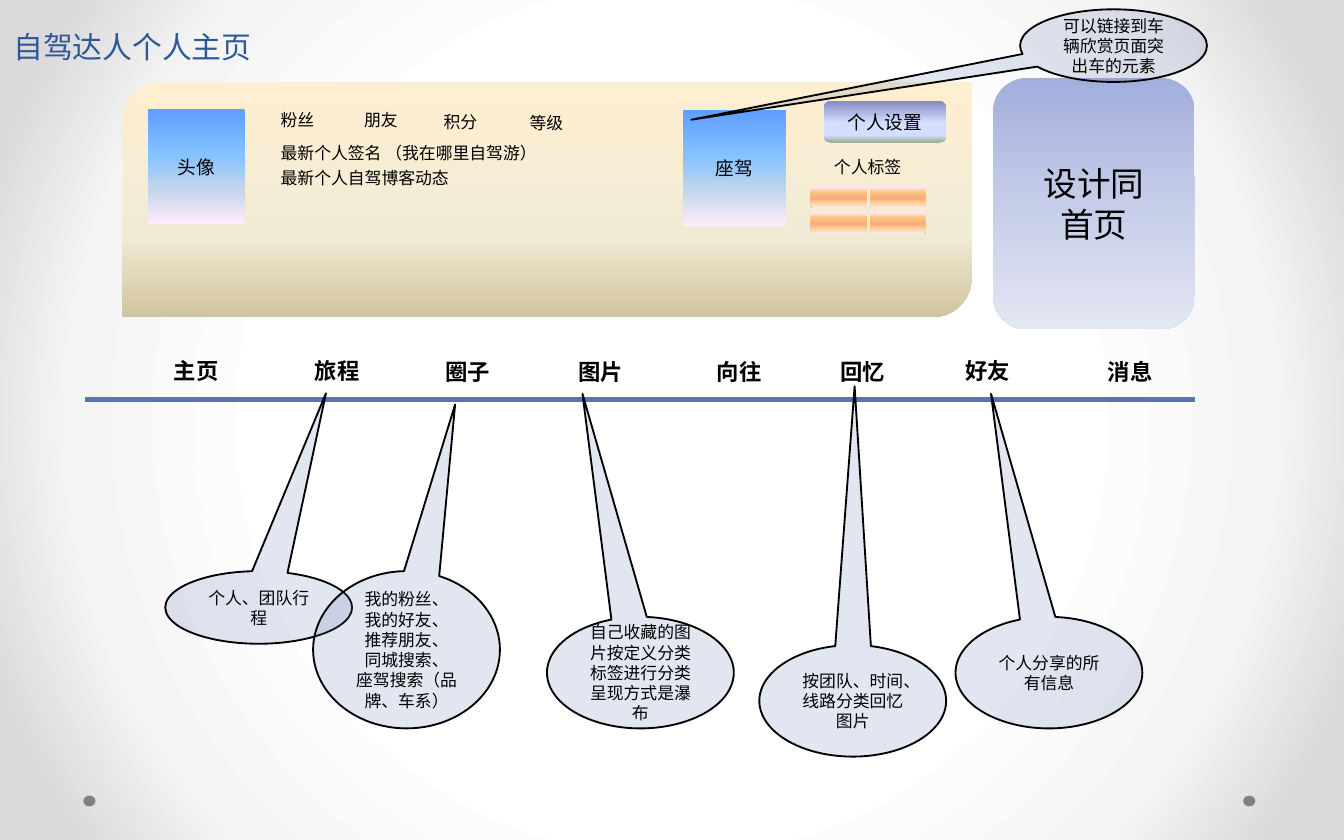
from itertools import product
from lxml.etree import SubElement
from pptx import Presentation
from pptx.dml.color import RGBColor
from pptx.enum.shapes import MSO_CONNECTOR, MSO_SHAPE
from pptx.enum.text import MSO_ANCHOR, PP_ALIGN
from pptx.oxml.ns import qn
from pptx.util import Inches, Pt

THEME = {
    "font": "TeX Gyre Pagella",
    "ink": "000000", "title": "2F5897", "dot": "808080",
    "rule": "5C72B2", "note": "6076B4", "alpha": 18,
    "size": {"title": 16, "card": 18, "tab": 12, "tile": 10, "note": 9},
    "back": [(50, "FFFFFF"), (76, "F4F4F4"), (92, "DADADA")],
    "card": [(0, "A2AEDC"), (50, "C6CDE8"), (100, "E3E6F3")],
    "panel": [(0, "FFEFD1"), (65, "F0EBD5"), (100, "D1C39F")],
    "tile": [(0, "5E9EFF"), (40, "85C2FF"), (70, "C4D6EB"), (100, "FFEBFA")],
    "button": [(0, "8488C4"), (53, "D4DEFF"), (83, "D4DEFF"), (100, "96AB94")],
    "tag": [(0, "FBEAC7"), (18, "FEE7F2"), (36, "FAC77D"),
            (61, "FBA97D"), (82, "FBD49C"), (100, "FEE7F2")],
}
SIZE = THEME["size"]

TITLE = "自驾达人个人主页"
RECT, ROUND = MSO_SHAPE.RECTANGLE, MSO_SHAPE.ROUNDED_RECTANGLE
# preset, box, gradient, lines of text, type size
BLOCKS = [
    (ROUND, (7.39, 0.58, 1.5, 1.87), "card", ["设计同", "首页"], SIZE["card"]),
    (MSO_SHAPE.ROUND_2_DIAG_RECTANGLE, (0.91, 0.61, 6.32, 1.75), "panel", [], 0),
    (RECT, (1.1, 0.81, 0.72, 0.86), "tile", ["头像"], SIZE["tile"]),
    (RECT, (5.08, 0.82, 0.77, 0.86), "tile", ["座驾"], SIZE["tile"]),
    (ROUND, (6.13, 0.75, 0.91, 0.31), "button", ["个人设置"], SIZE["tile"]),
]
LEFT, MID = PP_ALIGN.LEFT, PP_ALIGN.CENTER
LABELS = [
    ("粉丝", (1.99, 0.81, 0.51, 0.17), LEFT),
    ("朋友", (2.58, 0.81, 0.51, 0.17), MID),
    ("积分", (3.17, 0.82, 0.51, 0.17), MID),
    ("等级", (3.81, 0.83, 0.51, 0.17), MID),
    ("最新个人签名 （我在哪里自驾游）", (1.99, 1.03, 2.14, 0.21), LEFT),
    ("最新个人自驾博客动态", (1.99, 1.24, 4.03, 0.17), LEFT),
    ("个人标签", (6.03, 1.16, 0.85, 0.17), MID),
]
TABS = [("主页", 1, 2.59), ("旅程", 2.05, 2.59), ("圈子", 3.02, 2.6),
        ("图片", 4.01, 2.6), ("向往", 5.04, 2.6), ("回忆", 5.96, 2.6),
        ("好友", 6.89, 2.59), ("消息", 7.95, 2.6)]
# left, top, height, pointer tip (share of width and height), lines
NOTES = [
    (7.59, 0.07, 0.54, (-2.26, 1.02), ["可以链接到车辆欣赏页面突出车的元素"]),
    (1.23, 4.25, 0.54, (0.36, -2.95), ["个人、团队行程"]),
    (2.33, 4.25, 1.17, (0.26, -1.56),
     ["我的粉丝、", "我的好友、", "推荐朋友、", "同城搜索、", "座驾搜索（品牌、车系）"]),
    (4.07, 4.59, 0.83, (-0.31, -2.5), ["自己收藏的图片按定义分类标签进行分类呈现方式是瀑布"]),
    (7.11, 4.59, 0.83, (-0.31, -2.5), ["个人分享的所有信息"]),
    (5.65, 4.8, 0.83, (0.01, -2.82), ["按团队、时间、线路分类回忆图片"]),
]


def rgb(name):
    return RGBColor.from_string(name)


def inch(box):
    return [Inches(n) for n in box]


def blend(fill, root, stops, radial=False):
    """Fill with a top-down or radial gradient of any number of stops."""
    fill.gradient()
    if not radial:
        fill.gradient_angle = 270
    grad = next(root.iter(qn("a:gradFill")))
    group = grad.find(qn("a:gsLst"))
    for old in list(group):
        group.remove(old)
    for spot, tint in stops:
        stop = SubElement(group, qn("a:gs"), pos=str(spot * 1000))
        SubElement(stop, qn("a:srgbClr"), val=tint)
    if radial:
        grad.remove(grad.find(qn("a:lin")))
        ring = SubElement(grad, qn("a:path"), path="circle")
        SubElement(ring, qn("a:fillToRect"), l="50000", t="50000", r="50000", b="50000")


def write(shape, lines, size, align=MID, bold=False, tint=THEME["ink"]):
    frame = shape.text_frame
    frame.word_wrap = True
    frame.vertical_anchor = MSO_ANCHOR.MIDDLE
    for i, line in enumerate(lines):
        para = frame.add_paragraph() if i else frame.paragraphs[0]
        para.alignment = align
        run = para.add_run()
        run.text = line
        font = run.font
        font.name, font.size, font.bold = THEME["font"], Pt(size), bold
        font.color.rgb = rgb(tint)


def draw(slide, kind, box):
    shape = slide.shapes.add_shape(kind, *inch(box))
    shape.shadow.inherit = False
    shape.line.fill.background()
    return shape


def block(slide, kind, box, look, lines=(), size=0):
    shape = draw(slide, kind, box)
    blend(shape.fill, shape._element, THEME[look])
    write(shape, lines, size)


def label(slide, text, box, size, align=MID, bold=False):
    write(slide.shapes.add_textbox(*inch(box)), [text], size, align, bold)


def note(slide, left, top, height, tip, lines):
    shape = draw(slide, MSO_SHAPE.OVAL_CALLOUT, (left, top, 1.39, height))
    shape.adjustments[0], shape.adjustments[1] = tip
    shape.fill.solid()
    shape.fill.fore_color.rgb = rgb(THEME["note"])
    tint = next(shape._element.spPr.iter(qn("a:srgbClr")))
    SubElement(tint, qn("a:alpha"), val=str(THEME["alpha"] * 1000))
    shape.line.color.rgb = rgb(THEME["ink"])
    shape.line.width = Pt(1)
    write(shape, lines, SIZE["note"])


def main():
    deck = Presentation()
    deck.slide_width, deck.slide_height = inch((10, 6.25))
    slide = deck.slides.add_slide(deck.slide_layouts[5])
    blend(slide.background.fill, slide._element, THEME["back"], radial=True)

    title = slide.shapes.title
    title.left, title.top, title.width, title.height = inch((0, 0, 4.24, 0.53))
    write(title, [TITLE], SIZE["title"], LEFT, tint=THEME["title"])
    title.text_frame.vertical_anchor = MSO_ANCHOR.BOTTOM
    title.text_frame.paragraphs[0].line_spacing = Pt(58)

    for left in (0.62, 9.25):
        dot = draw(slide, MSO_SHAPE.OVAL, (left, 5.92, 0.09, 0.08))
        dot.fill.solid()
        dot.fill.fore_color.rgb = rgb(THEME["dot"])

    for item in BLOCKS:
        block(slide, *item)
    for row, col in product(range(2), range(2)):
        block(slide, ROUND, (6.03 + 0.44 * col, 1.36 + 0.19 * row, 0.42, 0.19), "tag")

    rule = slide.shapes.add_connector(MSO_CONNECTOR.STRAIGHT, *inch((0.63, 2.97, 8.89, 2.97)))
    rule.line.color.rgb = rgb(THEME["rule"])
    rule.line.width = Pt(2.75)
    SubElement(rule._element.spPr, qn("a:effectLst"))

    for text, box, align in LABELS:
        label(slide, text, box, SIZE["note"], align)
    for text, left, top in TABS:
        label(slide, text, (left, top, 0.92, 0.33), SIZE["tab"], bold=True)
    for item in NOTES:
        note(slide, *item)
    deck.save("out.pptx")


if __name__ == "__main__":
    main()
